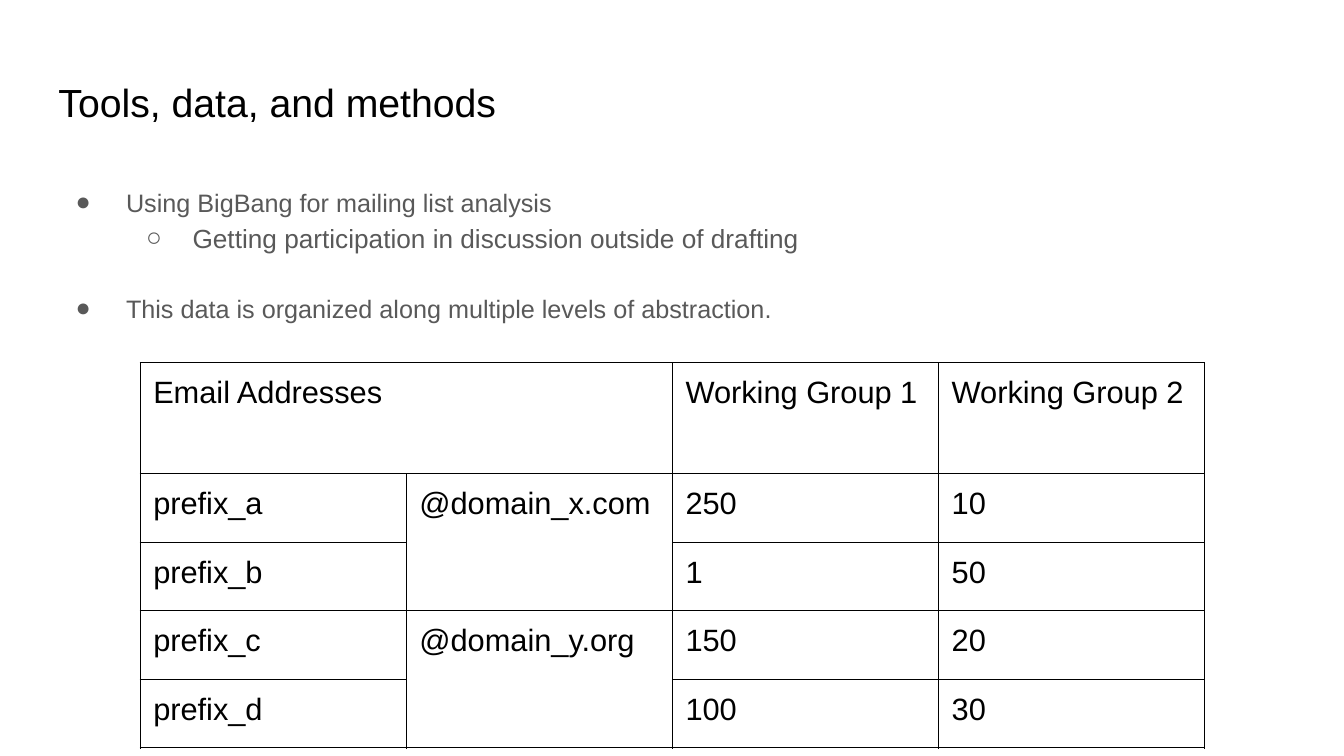
from lxml.etree import SubElement
from pptx import Presentation
from pptx.dml.color import RGBColor
from pptx.oxml.ns import qn
from pptx.util import Inches, Pt

COLORS = {"black": "000000", "grey": "595959"}
FONT = "Arial"
INSET = Inches(0.13)


def add_run(paragraph, text, size, color):
    run = paragraph.add_run()
    run.text = text
    run.font.name = FONT
    run.font.size = Pt(size)
    run.font.color.rgb = RGBColor.from_string(COLORS[color])


def add_text_frame(slide, left, top, width, height):
    box = slide.shapes.add_textbox(Inches(left), Inches(top), Inches(width), Inches(height))
    frame = box.text_frame
    frame.word_wrap = True
    frame.margin_left = frame.margin_right = INSET
    frame.margin_top = frame.margin_bottom = INSET
    return frame


presentation = Presentation()
presentation.slide_width = Inches(13.33)
presentation.slide_height = Inches(7.5)
slide = presentation.slides.add_slide(presentation.slide_layouts[6])

title = add_text_frame(slide, 0.45, 0.65, 12.42, 0.84)
add_run(title.paragraphs[0], "Tools, data, and methods", 28, "black")

bullets = [
    ("Using BigBang for mailing list analysis", 0, 18, 0),
    ("Getting participation in discussion outside of drafting", 1, 18.7, 25),
    ("This data is organized along multiple levels of abstraction.", 0, 18, 0),
]
bullet_styles = [("●", 0.67, -0.5), ("○", 1.33, -0.46)]
body = add_text_frame(slide, 0.45, 1.68, 8.49, 4.98)
for index, (text, level, size, gap) in enumerate(bullets):
    paragraph = body.paragraphs[0] if index == 0 else body.add_paragraph()
    paragraph.level = level
    paragraph.line_spacing = 1.15
    paragraph.space_after = Pt(gap)
    symbol, margin, indent = bullet_styles[level]
    properties = paragraph._p.get_or_add_pPr()
    properties.set("marL", str(Inches(margin)))
    properties.set("indent", str(Inches(indent)))
    bullet_color = SubElement(properties, qn("a:buClr"))
    SubElement(bullet_color, qn("a:srgbClr"), val=COLORS["grey"])
    SubElement(properties, qn("a:buFont"), typeface=FONT)
    SubElement(properties, qn("a:buChar"), char=symbol)
    add_run(paragraph, text, size, "grey")

rows = [
    ["Email Addresses", "", "Working Group 1", "Working Group 2"],
    ["prefix_a", "@domain_x.com", "250", "10"],
    ["prefix_b", "", "1", "50"],
    ["prefix_c", "@domain_y.org", "150", "20"],
    ["prefix_d", "", "100", "30"],
]
row_heights = [1.1] + [0.68] * 4
table = slide.shapes.add_table(
    len(rows), 4, Inches(1.39), Inches(3.6), Inches(10.56), Inches(sum(row_heights))
).table
table.first_row = False
table.horz_banding = False
for column in table.columns:
    column.width = Inches(2.64)
for row, height in zip(table.rows, row_heights):
    row.height = Inches(height)

table.cell(0, 0).merge(table.cell(0, 1))
for domain_row in (1, 3):
    table.cell(domain_row, 1).merge(table.cell(domain_row + 1, 1))

for row_index, values in enumerate(rows):
    for column_index, value in enumerate(values):
        cell = table.cell(row_index, column_index)
        cell.margin_left = cell.margin_right = INSET
        cell.margin_top = cell.margin_bottom = INSET
        cell_properties = cell._tc.get_or_add_tcPr()
        for side in ("lnL", "lnR", "lnT", "lnB"):
            border = SubElement(cell_properties, qn(f"a:{side}"), w=str(Pt(1)))
            border_fill = SubElement(border, qn("a:solidFill"))
            SubElement(border_fill, qn("a:srgbClr"), val=COLORS["black"])
        cell.fill.background()
        if value:
            add_run(cell.text_frame.paragraphs[0], value, 22, "black")

presentation.save("out.pptx")
